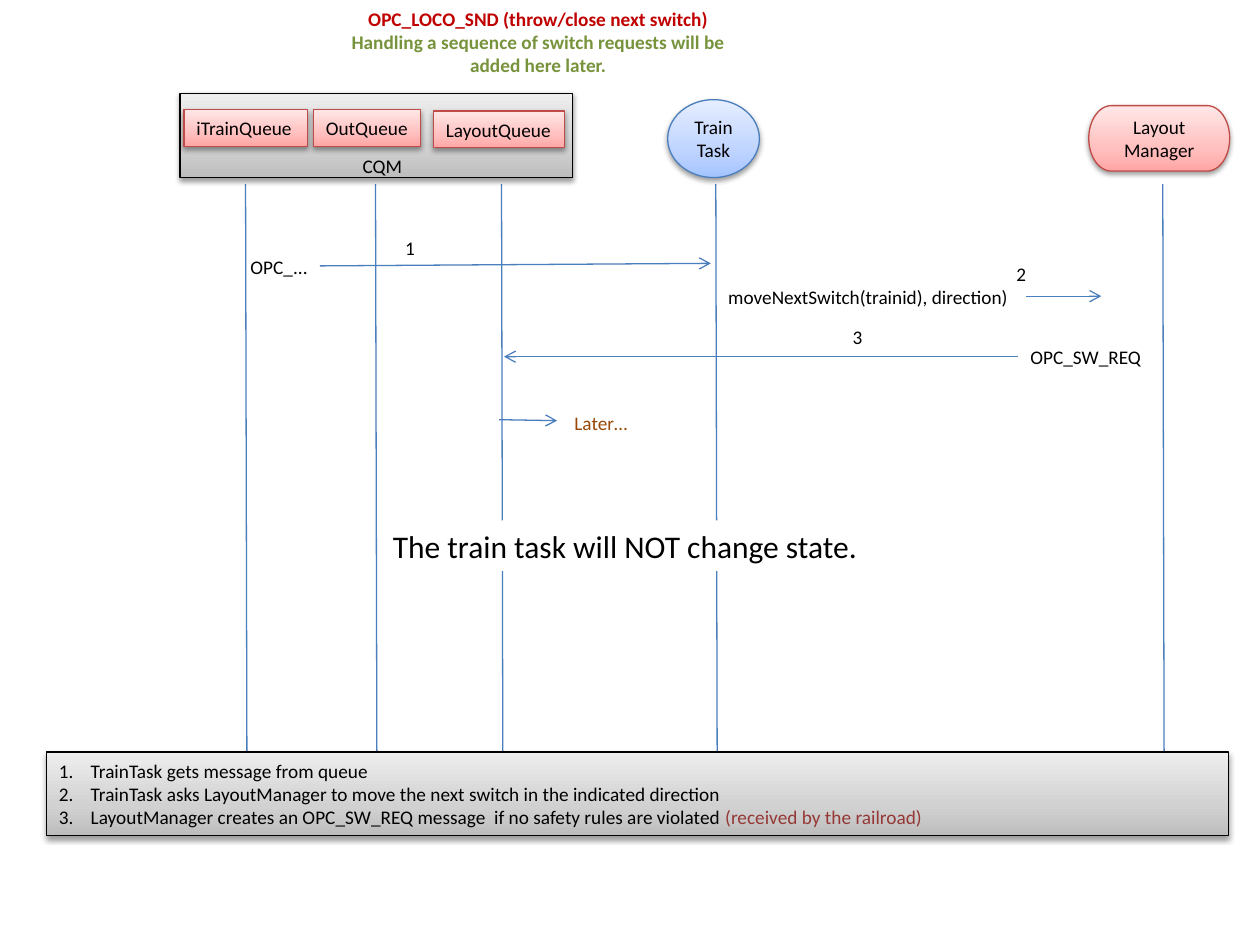
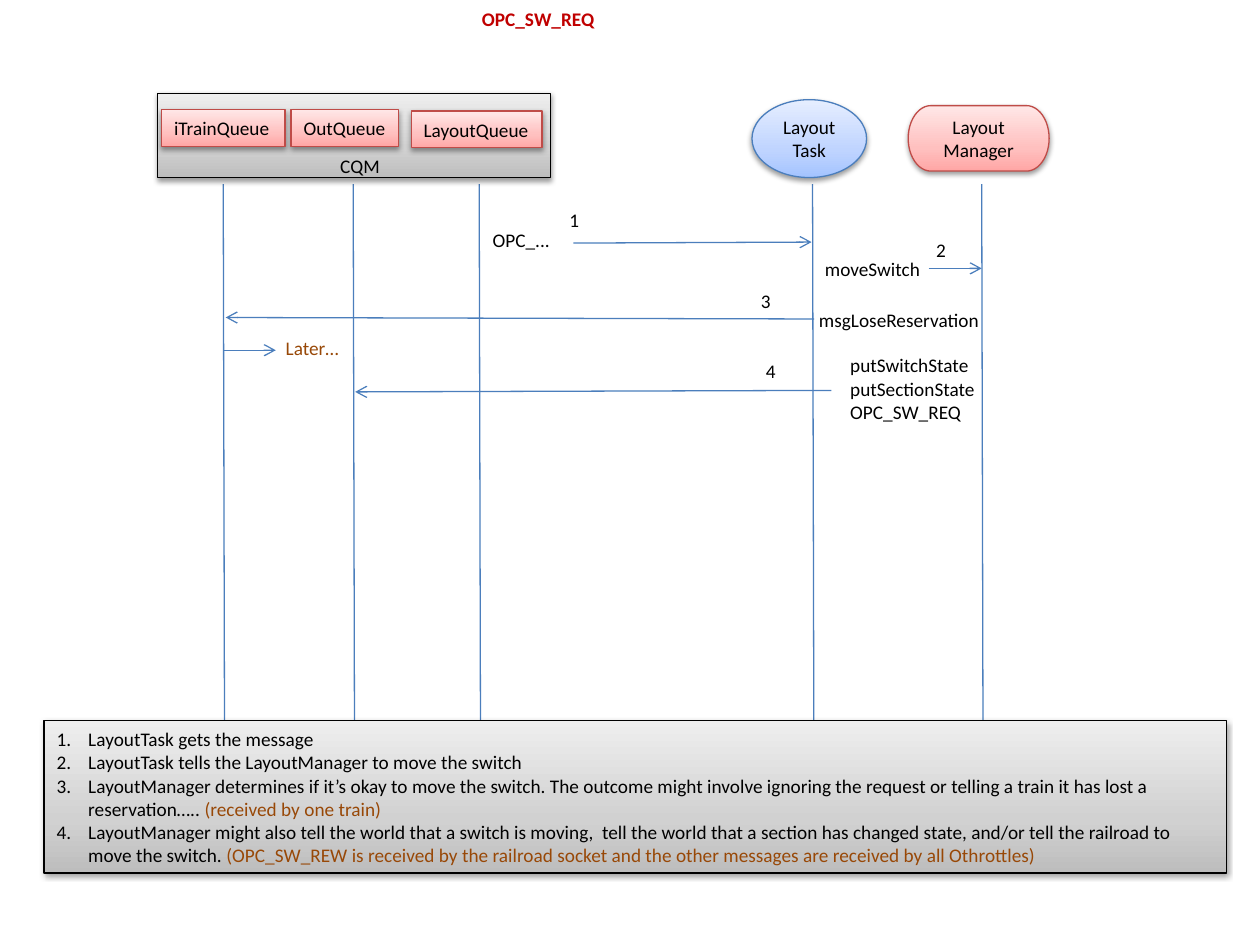
"""Build two sequence diagrams of switch requests on a model railroad."""
from lxml import etree
from pptx import Presentation
from pptx.dml.color import RGBColor
from pptx.enum.shapes import MSO_CONNECTOR, MSO_SHAPE
from pptx.enum.text import MSO_ANCHOR, PP_ALIGN
from pptx.oxml.ns import qn
from pptx.util import Cm, Pt

RECTANGLE = MSO_SHAPE.RECTANGLE
CIRCLE = MSO_SHAPE.FLOWCHART_CONNECTOR
TERMINATOR = MSO_SHAPE.FLOWCHART_TERMINATOR
STRAIGHT = MSO_CONNECTOR.STRAIGHT
LEFT, CENTER = PP_ALIGN.LEFT, PP_ALIGN.CENTER
MIDDLE = MSO_ANCHOR.MIDDLE

FONT = "Calibri"
BLACK = RGBColor(0x00, 0x00, 0x00)
WHITE = RGBColor(0xFF, 0xFF, 0xFF)
BLUE = RGBColor(0x4B, 0x7E, 0xBC)
RED = RGBColor(0xBF, 0x4C, 0x48)
TITLE_RED = RGBColor(0xC0, 0x00, 0x00)
GREEN = RGBColor(0x77, 0x93, 0x3C)
BROWN = RGBColor(0x98, 0x48, 0x07)
DARK_RED = RGBColor(0x95, 0x37, 0x35)
GRAY_SHADES = RGBColor(0xBD, 0xBD, 0xBD), RGBColor(0xD1, 0xD1, 0xD1), RGBColor(0xEE, 0xEE, 0xEE)
RED_SHADES = RGBColor(0xFF, 0xA6, 0xA5), RGBColor(0xFF, 0xC0, 0xBF), RGBColor(0xFF, 0xE7, 0xE7)
BLUE_SHADES = RGBColor(0xA4, 0xC4, 0xFF), RGBColor(0xBF, 0xD4, 0xFF), RGBColor(0xE6, 0xEE, 0xFF)
SHADE_POSITIONS = 0, 35, 100

LINE_WIDTH = Pt(0.75)
ROW_HEIGHT = 0.74
LIFELINE_TOP, LIFELINE_LENGTH, LIFELINE_DRIFT = 3.71, 12.7, 0.03
QUEUES = [
    ("iTrainQueue", 0.08, 2.21, 2.49),
    ("OutQueue", 2.69, 2.21, 2.16),
    ("LayoutQueue", 5.11, 2.24, 2.64),
]
QUEUE_LIFELINES = 1.32, 3.94, 6.48


def add_element(parent, tag, **attributes):
    """Append a DrawingML element and return it."""
    element = etree.SubElement(parent, qn(tag))
    for name, value in attributes.items():
        element.set(name, str(value))
    return element


def write_text(shape, lines, *, size=11, color=BLACK, bold=False, align=LEFT,
               wrap=False, numbered=False):
    """Fill a shape with lines, each a string or a list of (text, color) parts."""
    frame = shape.text_frame
    frame.word_wrap = wrap
    frame.vertical_anchor = MIDDLE
    for index, line in enumerate(lines):
        paragraph = frame.add_paragraph() if index else frame.paragraphs[0]
        paragraph.alignment = align
        if numbered:
            properties = paragraph._p.get_or_add_pPr()
            properties.set("marL", str(Cm(0.64)))
            properties.set("indent", str(Cm(-0.64)))
            add_element(properties, "a:buFont", typeface="+mj-lt")
            add_element(properties, "a:buAutoNum", type="arabicPeriod")
        parts = [(line, color)] if isinstance(line, str) else line
        for text, part_color in parts:
            run = paragraph.add_run()
            run.text = text
            run.font.name = FONT
            run.font.size = Pt(size)
            run.font.bold = bold
            run.font.color.rgb = part_color


def add_shaded_shape(slide, kind, left, top, width, height, shades, outline):
    """Add a shape with a vertical gradient, an outline and a soft shadow."""
    shape = slide.shapes.add_shape(kind, Cm(left), Cm(top), Cm(width), Cm(height))
    shape.line.color.rgb = outline
    shape.line.width = LINE_WIDTH
    shape.fill.gradient()
    gradient = shape._element.spPr.find(qn("a:gradFill"))
    for child in list(gradient):
        gradient.remove(child)
    stops = add_element(gradient, "a:gsLst")
    for position, shade in zip(SHADE_POSITIONS, shades):
        stop = add_element(stops, "a:gs", pos=position * 1000)
        add_element(stop, "a:srgbClr", val=shade)
    add_element(gradient, "a:lin", ang=270 * 60000, scaled=0)
    shape.shadow.inherit = False
    effects = shape._element.spPr.find(qn("a:effectLst"))
    shadow = add_element(effects, "a:outerShdw", blurRad=Pt(3.1), dist=Pt(1.6),
                         dir=90 * 60000, rotWithShape=0)
    shadow_color = add_element(shadow, "a:srgbClr", val=BLACK)
    add_element(shadow_color, "a:alpha", val=38000)
    return shape


def add_label(slide, text, left, top, width=0.71, height=ROW_HEIGHT, **text_format):
    """Add a text box; line feeds separate its paragraphs."""
    box = slide.shapes.add_textbox(Cm(left), Cm(top), Cm(width), Cm(height))
    write_text(box, text.split("\n"), **text_format)


def add_line(slide, start, end, arrow=False):
    """Add a thin blue line, with an arrowhead at its end if asked."""
    points = [Cm(value) for value in (*start, *end)]
    connector = slide.shapes.add_connector(STRAIGHT, *points)
    connector.line.color.rgb = BLUE
    connector.line.width = LINE_WIDTH
    if arrow:
        add_element(connector.line._get_or_add_ln(), "a:tailEnd", type="arrow")
    add_element(connector._element.spPr, "a:effectLst")


def add_lifelines(slide, positions):
    """Add one lifeline below each participant."""
    for left in positions:
        add_line(slide, (left, LIFELINE_TOP),
                 (left + LIFELINE_DRIFT, LIFELINE_TOP + LIFELINE_LENGTH))


def add_queue_manager(slide, left):
    """Add the CQM panel with its queues and their lifelines."""
    add_lifelines(slide, [left + offset for offset in QUEUE_LIFELINES])
    add_shaded_shape(slide, RECTANGLE, left, 1.88, 7.92, 1.7, GRAY_SHADES, BLACK)
    for name, offset, top, width in QUEUES:
        queue = add_shaded_shape(slide, RECTANGLE, left + offset, top, width,
                                 ROW_HEIGHT, RED_SHADES, RED)
        write_text(queue, [name])
    add_label(slide, "CQM", left + 3.43, 2.97, 1.32)


def add_task(slide, name, left, width, lifeline):
    """Add a round task and its lifeline."""
    add_lifelines(slide, [lifeline])
    task = add_shaded_shape(slide, CIRCLE, left, 2.01, width, 1.57, BLUE_SHADES, BLUE)
    write_text(task, [name, "Task"], align=CENTER)


def add_layout_manager(slide, left, lifeline):
    """Add the layout manager and its lifeline."""
    add_lifelines(slide, [lifeline])
    manager = add_shaded_shape(slide, TERMINATOR, left, 2.13, 2.84, 1.32, RED_SHADES, RED)
    write_text(manager, ["Layout", "Manager"], align=CENTER)


def add_legend(slide, left, top, height, lines):
    """Add the numbered explanation of the messages."""
    legend = add_shaded_shape(slide, RECTANGLE, left, top, 23.83, height,
                              GRAY_SHADES, BLACK)
    write_text(legend, lines, wrap=True, numbered=True)


def add_banner(slide, text):
    """Add a large white note across the lifelines."""
    banner = slide.shapes.add_shape(RECTANGLE, Cm(7.67), Cm(10.49), Cm(9.98), Cm(1.02))
    banner.shadow.inherit = False
    banner.fill.solid()
    banner.fill.fore_color.rgb = WHITE
    banner.line.fill.background()
    write_text(banner, [text], size=18)


def add_titled_slide(presentation, lines, height):
    """Add a title-only slide with a small centred heading."""
    slide = presentation.slides.add_slide(presentation.slide_layouts[5])
    title = slide.shapes.title
    title.left, title.top, title.width, title.height = Cm(6.38), Cm(0), Cm(8.94), Cm(height)
    write_text(title, lines, color=TITLE_RED, bold=True, align=CENTER, wrap=True)
    return slide


def build_next_switch_slide(presentation):
    """Show how a train asks for its next switch."""
    slide = add_titled_slide(presentation, [
        "OPC_LOCO_SND (throw/close next switch)",
        [("Handling a sequence of switch requests will be added here later.", GREEN)],
    ], 1.68)
    add_queue_manager(slide, 3.63)
    add_task(slide, "Train", 13.46, 1.85, 14.43)
    add_layout_manager(slide, 21.95, 23.44)
    for start, end in [
        ((6.45, 5.36), (14.33, 5.31)),
        ((20.68, 5.97), (22.2, 5.97)),
        ((20.52, 7.19), (10.16, 7.19)),
        ((10.06, 8.46), (11.23, 8.48)),
    ]:
        add_line(slide, start, end, arrow=True)
    for number, left, top in [("1", 7.92, 4.62), ("2", 20.24, 5.16), ("3", 16.94, 6.43)]:
        add_label(slide, number, left, top)
    add_label(slide, "OPC_...", 4.8, 5, 1.68)
    add_label(slide, "moveNextSwitch(trainid), direction)", 14.43, 5.61, 6.2)
    add_label(slide, "OPC_SW_REQ", 20.52, 6.83, 2.84, wrap=True)
    add_label(slide, "Later…", 11.33, 8.15, 1.63, color=BROWN)
    add_banner(slide, "The train task will NOT change state.")
    add_legend(slide, 0.94, 15.16, 1.68, [
        "TrainTask gets message from queue",
        "TrainTask asks LayoutManager to move the next switch in the indicated direction",
        [("LayoutManager creates an OPC_SW_REQ message  if no safety rules are violated ", BLACK),
         ("(received by the railroad)", DARK_RED)],
    ])


def build_switch_request_slide(presentation):
    """Show how the layout handles a switch request."""
    slide = add_titled_slide(presentation, ["OPC_SW_REQ"], ROW_HEIGHT)
    add_queue_manager(slide, 3.18)
    add_task(slide, "Layout", 15.16, 2.31, 16.38)
    add_layout_manager(slide, 18.31, 19.79)
    for start, end in [
        ((11.56, 4.9), (16.36, 4.88)),
        ((18.72, 5.41), (19.79, 5.41)),
        ((16.41, 6.43), (4.55, 6.4)),
        ((16.76, 7.87), (7.16, 7.9)),
        ((4.52, 7.06), (5.56, 7.06)),
    ]:
        add_line(slide, start, end, arrow=True)
    for number, left, top in [("1", 11.23, 4.06), ("2", 18.62, 4.67),
                              ("3", 15.09, 5.69), ("4", 15.19, 7.11)]:
        add_label(slide, number, left, top)
    add_label(slide, "OPC_...", 9.68, 4.47, 1.68)
    add_label(slide, "moveSwitch", 16.38, 5.05, 2.67, wrap=True)
    add_label(slide, "msgLoseReservation", 16.26, 6.07, 3.94, wrap=True)
    add_label(slide, "putSwitchState\nputSectionState\nOPC_SW_REQ", 16.89, 6.99, 3.94, 1.68,
              wrap=True)
    add_label(slide, "Later…", 5.51, 6.65, 1.63, color=BROWN)
    add_legend(slide, 0.89, 14.53, 3.07, [
        "LayoutTask gets the message",
        "LayoutTask tells the LayoutManager to move the switch",
        [("LayoutManager determines if it’s okay to move the switch. The outcome might involve "
          "ignoring the request or telling a train it has lost a reservation….. ", BLACK),
         ("(received by one train)", BROWN)],
        [("LayoutManager might also tell the world that a switch is moving,  tell the world that "
          "a section has changed state, and/or tell the railroad to move the switch. ", BLACK),
         ("(OPC_SW_REW is received by the railroad socket and the other messages are received "
          "by all Othrottles)", BROWN)],
    ])


def main():
    """Create and save the presentation."""
    presentation = Presentation()
    presentation.slide_width, presentation.slide_height = Cm(25.4), Cm(19.05)
    build_next_switch_slide(presentation)
    build_switch_request_slide(presentation)
    presentation.save("out.pptx")


if __name__ == "__main__":
    main()
